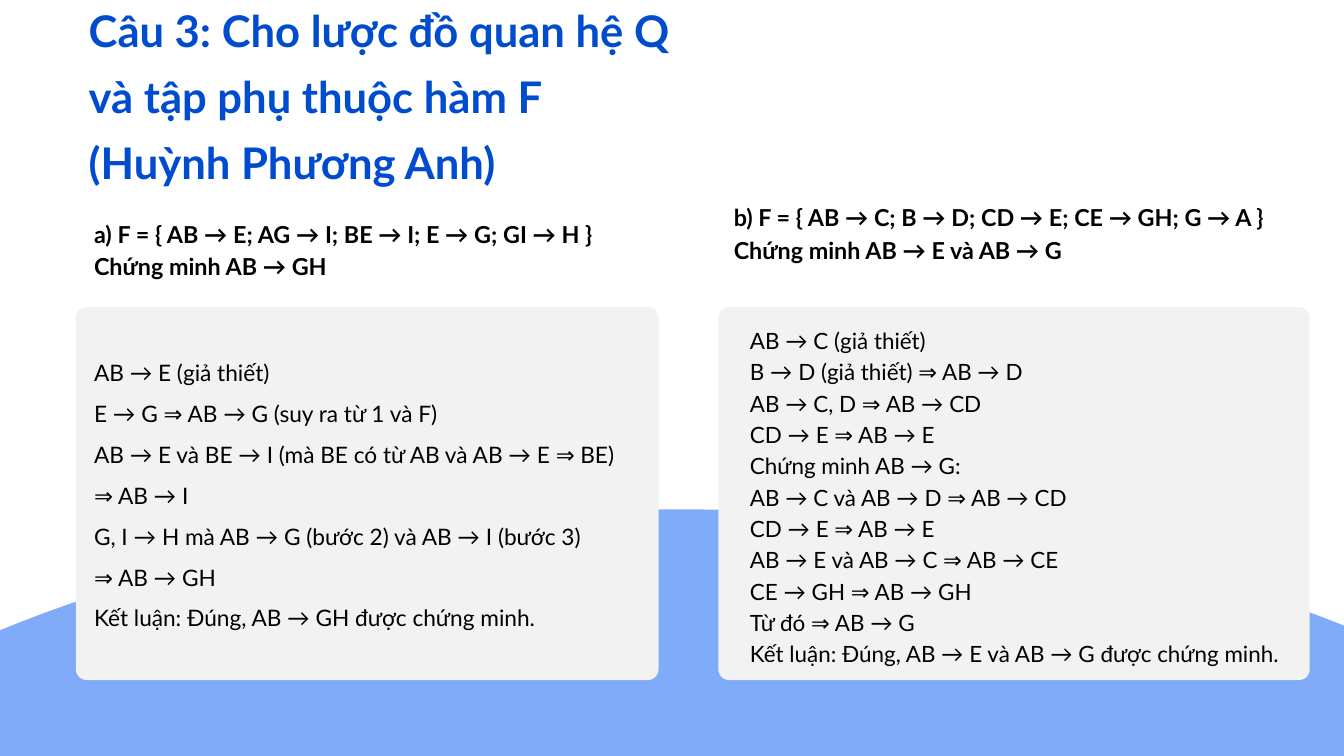
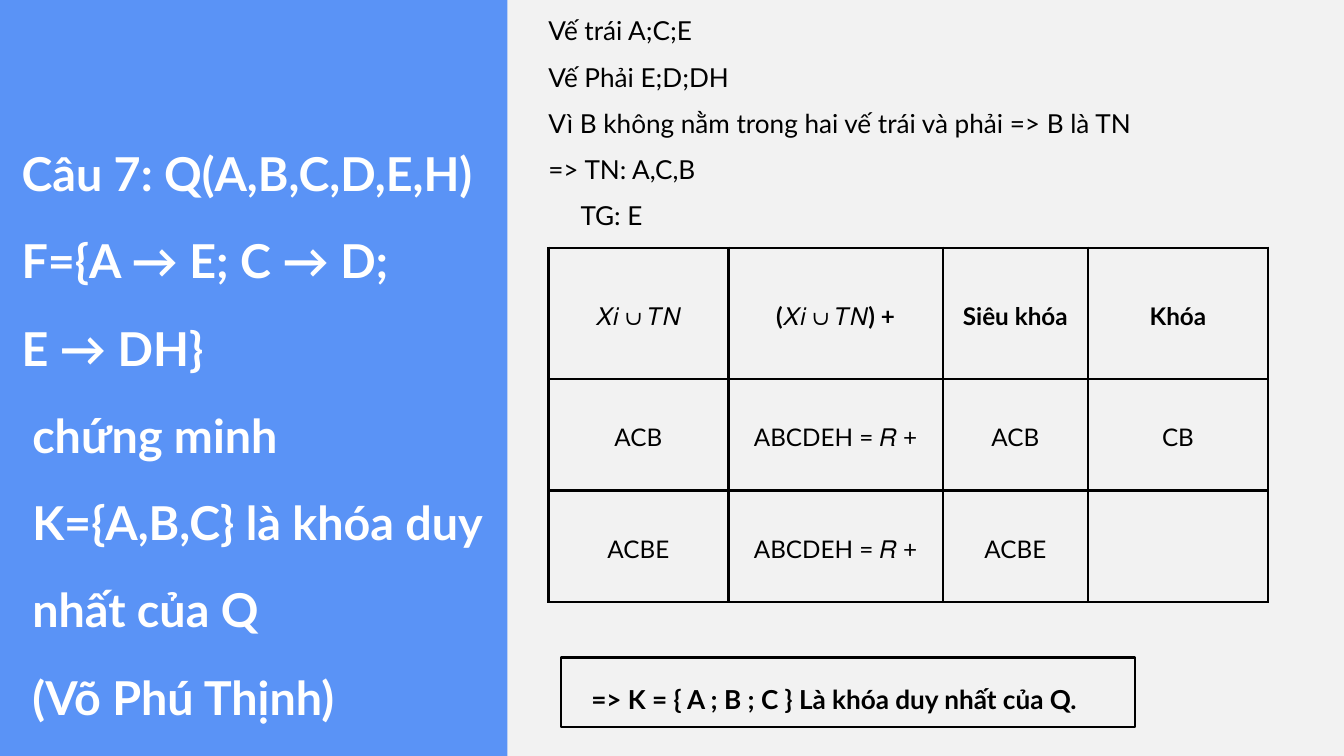
from lxml.etree import SubElement
from pptx import Presentation
from pptx.dml.color import RGBColor
from pptx.enum.shapes import MSO_SHAPE as Kind
from pptx.enum.text import MSO_ANCHOR as Anchor, MSO_AUTO_SIZE as Auto, PP_ALIGN as Align
from pptx.oxml.ns import qn
from pptx.util import Inches, Pt

# Shared look
FONT = "Lato"
BLACK, WHITE, GREY = "000000", "FFFFFF", "F2F2F2"
NAVY, BLUE, SKY = "004CCF", "0E62F2", "5A93F6"
RADIUS = 0.16

# Content of the first slide; each proof: box, head place, head, body place, body, size, spacing
TITLE_3 = ["Câu 3: Cho lược đồ quan hệ Q và tập phụ thuộc hàm F", "(Huỳnh Phương Anh)"]
PROOFS = [
    dict(
        card=(1.13, 4.57, 8.67, 5.55), top=(1.4, 3.2, 7.9, 0.95),
        head=["a) F = { AB → E; AG → I; BE → I; E → G; GI → H }", "Chứng minh AB → GH"],
        place=(1.4, 5.14, 8.52, 4.74), size=24.3, space=43.8,
        steps=[
            "AB → E (giả thiết)",
            "E → G ⇒ AB → G (suy ra từ 1 và F)",
            "AB → E và BE → I (mà BE có từ AB và AB → E ⇒ BE)",
            "⇒ AB → I",
            "G, I → H mà AB → G (bước 2) và AB → I (bước 3)",
            "⇒ AB → GH",
            "Kết luận: Đúng, AB → GH được chứng minh.",
        ]),
    dict(
        card=(10.69, 4.57, 8.8, 5.55), top=(10.92, 2.96, 8.34, 1.43),
        head=["b) F = { AB → C; B → D; CD → E; CE → GH; G → A }",
              "Chứng minh AB → E và AB → G"],
        place=(11.16, 4.8, 8.59, 5.5), size=24, space=33.6,
        steps=[
            "AB → C (giả thiết)",
            "B → D (giả thiết) ⇒ AB → D",
            "AB → C, D ⇒ AB → CD",
            "CD → E ⇒ AB → E",
            "Chứng minh AB → G:",
            "AB → C và AB → D ⇒ AB → CD",
            "CD → E ⇒ AB → E",
            "AB → E và AB → C ⇒ AB → CE",
            "CE → GH ⇒ AB → GH",
            "Từ đó ⇒ AB → G",
            "Kết luận: Đúng, AB → E và AB → G được chứng minh.",
        ]),
]

# Content of the second slide; a pair is a line and its indent in inches
TITLE_7 = [
    "Câu 7: Q(A,B,C,D,E,H) F={A → E; C → D;",
    "E → DH}",
    ("chứng minh", 0.16),
    "K={A,B,C} là khóa duy nhất của Q",
    "(Võ Phú Thịnh)",
]
SIDES = [
    "Vế trái A;C;E",
    "Vế Phải E;D;DH",
    "Vì B không nằm trong hai vế trái và phải => B là TN",
    "=> TN: A,C,B",
    ("TG: E", 0.48),
]
KEYS = [
    ["𝑋𝑖 ∪ 𝑇𝑁", "(𝑋𝑖 ∪ 𝑇𝑁) +", "Siêu khóa", "Khóa"],
    ["ACB", "ABCDEH = 𝑅 +", "ACB", "CB"],
    ["ACBE", "ABCDEH = 𝑅 +", "ACBE", ""],
]
WIDTHS = [2.68, 3.19, 2.16, 2.68]
HEIGHTS = [1.95, 1.66, 1.66]
RESULT = "=> K = { A ; B ; C } Là khóa duy nhất của Q."


def tint(code):
    return RGBColor.from_string(code)


def inch(place):
    return [Inches(n) for n in place]


def write(frame, lines, size, space, color=BLACK, bold=False, align=Align.JUSTIFY):
    """Fill a text frame, one paragraph a line."""
    frame.word_wrap = True
    for i, line in enumerate(lines):
        text, indent = line if isinstance(line, tuple) else (line, 0)
        para = frame.paragraphs[0] if i == 0 else frame.add_paragraph()
        if indent:
            para._p.get_or_add_pPr().set("marL", str(Inches(indent)))
        para.alignment = align
        para.line_spacing = Pt(space)
        para.space_before = Pt(0)
        run = para.add_run()
        run.text = text
        font = run.font
        font.name, font.size, font.bold = FONT, Pt(size), bold
        font.color.rgb = tint(color)


def trim(frame):
    """Drop the insets and let the box grow with its text."""
    frame.margin_left = frame.margin_right = frame.margin_top = frame.margin_bottom = 0
    frame.vertical_anchor = Anchor.TOP
    frame.auto_size = Auto.SHAPE_TO_FIT_TEXT
    return frame


def label(slide, place, lines, **form):
    write(trim(slide.shapes.add_textbox(*inch(place)).text_frame), lines, **form)


def head(slide, place, lines, **form):
    """Place the title above the shapes drawn so far."""
    title = slide.shapes.title
    title.left, title.top, title.width, title.height = inch(place)
    write(trim(title.text_frame), lines, bold=True, align=Align.LEFT, **form)
    title.element.getparent().append(title.element)


def draw(slide, kind, place, fill, alpha=None, line=None):
    shape = slide.shapes.add_shape(kind, *inch(place))
    shape.shadow.inherit = False
    shape.fill.solid()
    shape.fill.fore_color.rgb = tint(fill)
    if kind == Kind.ROUNDED_RECTANGLE:
        shape.adjustments[0] = RADIUS / min(place[2:])
    if alpha:
        code = shape.element.spPr.find(".//" + qn("a:srgbClr"))
        SubElement(code, qn("a:alpha"), val=str(alpha * 1000))
    if line:
        shape.line.color.rgb = tint(line)
        shape.line.width = Pt(3)
    else:
        shape.line.fill.background()


def edge(cell):
    """Draw the four borders of a cell."""
    props = cell._tc.get_or_add_tcPr()
    for i, side in enumerate("LRTB"):
        line = SubElement(props, qn("a:ln" + side), w=str(Pt(3)))
        fill = SubElement(line, qn("a:solidFill"))
        SubElement(fill, qn("a:srgbClr"), val=BLACK)
        props.insert(i, line)


def grid(slide, left, top):
    place = inch((left, top, sum(WIDTHS), sum(HEIGHTS)))
    table = slide.shapes.add_table(len(KEYS), len(WIDTHS), *place).table
    table.first_row = table.horz_banding = False
    for col, width in zip(table.columns, WIDTHS):
        col.width = Inches(width)
    for r, (row, high) in enumerate(zip(KEYS, HEIGHTS)):
        table.rows[r].height = Inches(high)
        for c, text in enumerate(row):
            cell = table.cell(r, c)
            cell.fill.background()
            edge(cell)
            cell.vertical_anchor = Anchor.MIDDLE
            cell.margin_left = cell.margin_right = Inches(0.21)
            cell.margin_top = cell.margin_bottom = Inches(0.21)
            if text:
                write(cell.text_frame, [text], size=26, space=36.4,
                      bold=r == 0, align=Align.CENTER)


def proofs(slide):
    draw(slide, Kind.OVAL, (-5.36, 7.58, 30.89, 14.84), BLUE, alpha=53)
    for part in PROOFS:
        draw(slide, Kind.ROUNDED_RECTANGLE, part["card"], GREY)
        label(slide, part["top"], part["head"], size=25, space=35, bold=True)
        label(slide, part["place"], part["steps"], size=part["size"], space=part["space"])
    head(slide, (1.32, -0.14, 8.68, 3.85), TITLE_3, size=46.7, space=70.6, color=NAVY)


def keys(slide):
    # Side panel and main panel
    draw(slide, Kind.ROUNDED_RECTANGLE, (-1.01, -0.42, 9.9, 12.09), SKY)
    draw(slide, Kind.ROUNDED_RECTANGLE, (7.55, -0.65, 13.02, 12.32), GREY)
    head(slide, (0.32, 1.69, 7.23, 10.22), TITLE_7, size=50, space=93.5, color=WHITE)
    # Working, table and result
    label(slide, (8.16, 0, 9.89, 3.39), SIDES, size=28, space=49.5)
    grid(slide, 8.16, 3.69)
    draw(slide, Kind.RECTANGLE, (8.35, 9.78, 8.54, 1.04), GREY, line=BLACK)
    label(slide, (8.8, 9.95, 7.62, 0.64), [RESULT], size=28, space=49.8, bold=True)


def main():
    deck = Presentation()
    deck.slide_width, deck.slide_height = Inches(20), Inches(11.25)
    for build in (proofs, keys):
        build(deck.slides.add_slide(deck.slide_layouts[5]))
    deck.save("out.pptx")


if __name__ == "__main__":
    main()
